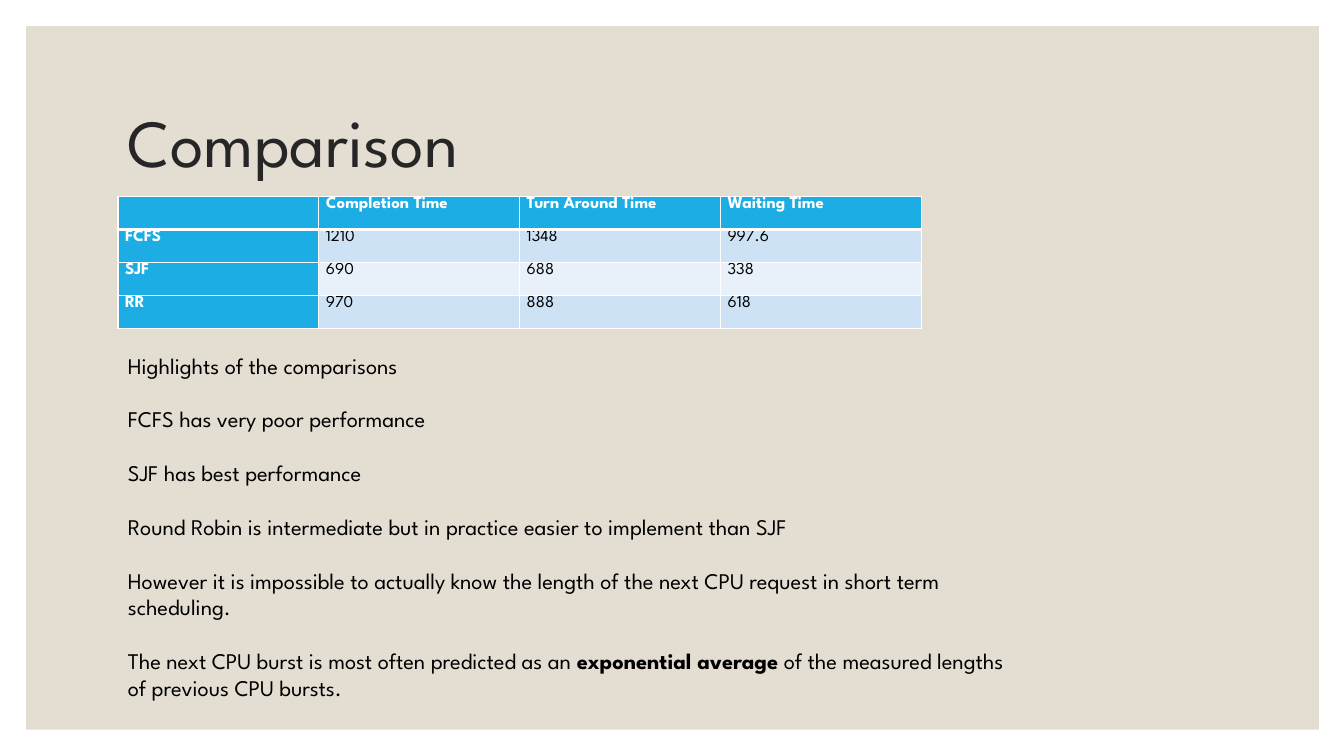
from lxml.etree import SubElement
from pptx import Presentation
from pptx.dml.color import RGBColor
from pptx.enum.shapes import MSO_SHAPE as SHAPE
from pptx.enum.text import MSO_ANCHOR as ANCHOR
from pptx.oxml.ns import qn
from pptx.util import Inches, Pt

FONT = "League Spartan"
COLORS = {
    "panel": "E3DED1", "title": "262626", "text": "000000", "white": "FFFFFF",
    "header": "1CADE4", "band_dark": "CDE3F5", "band_light": "E8F1FA",
}
ROWS = [
    ("", "Completion Time", "Turn Around Time", "Waiting Time"),
    ("FCFS", "1210", "1348", "997.6"),
    ("SJF", "690", "688", "338"),
    ("RR", "970", "888", "618"),
]
HIGHLIGHTS = [
    ["Highlights of the comparisons"],
    ["FCFS has very poor performance"],
    ["SJF has best performance"],
    ["Round Robin is intermediate but in practice easier to implement than SJF"],
    ["However it is impossible to actually know the length of the next CPU request in short term",
     "scheduling."],
    ["The next CPU burst is most often predicted as an *exponential average* of the measured lengths",
     "of previous CPU bursts."],
]


def rgb(name):
    return RGBColor.from_string(COLORS[name])


def style(r, size, color, bold=False):
    r.font.name = FONT
    r.font.size = Pt(size)
    r.font.bold = bold
    r.font.color.rgb = rgb(color)


def add_panel(s, box):
    sp = s.shapes.add_shape(SHAPE.RECTANGLE, *map(Inches, box))
    sp.shadow.inherit = False
    sp.fill.solid()
    sp.fill.fore_color.rgb = rgb("panel")
    sp.line.fill.background()


def add_text_box(s, box, anchor):
    tf = s.shapes.add_textbox(*map(Inches, box)).text_frame
    tf.word_wrap = True
    tf.vertical_anchor = anchor
    return tf


def add_title(s, box, text):
    p = add_text_box(s, box, ANCHOR.MIDDLE).paragraphs[0]
    p.text = text
    p.line_spacing = 0.9
    style(p.runs[0], 48, "title")


def add_borders(cell, row):
    widths = {"L": 1, "R": 1, "T": 3 if row == 1 else 1, "B": 3 if row == 0 else 1}
    for side, width in widths.items():
        ln = SubElement(cell._tc.get_or_add_tcPr(), qn(f"a:ln{side}"), w=str(Pt(width)))
        fill = SubElement(ln, qn("a:solidFill"))
        SubElement(fill, qn("a:srgbClr"), val=COLORS["white"])


def add_comparison(s, box, rows):
    table = s.shapes.add_table(len(rows), len(rows[0]), *map(Inches, box)).table
    for i, values in enumerate(rows):
        for j, value in enumerate(values):
            cell = table.cell(i, j)
            heading = i == 0 or j == 0
            cell.margin_left = cell.margin_right = Inches(0.07)
            cell.margin_top = cell.margin_bottom = 0
            add_borders(cell, i)
            cell.fill.solid()
            band = "band_dark" if i % 2 else "band_light"
            cell.fill.fore_color.rgb = rgb("header" if heading else band)
            cell.text = value
            for r in cell.text_frame.paragraphs[0].runs:
                style(r, 12, "white" if heading else "text", heading)


def add_highlights(s, box, groups):
    tf = add_text_box(s, box, ANCHOR.TOP)
    p = tf.paragraphs[0]
    for i, lines in enumerate(groups):
        for j, line in enumerate(lines):
            if i or j:
                p = tf.add_paragraph()
            if i and j == 0:
                p.space_before = Pt(19.2)
            for k, part in enumerate(line.split("*")):
                r = p.add_run()
                r.text = part
                style(r, 16, "text", k % 2 == 1)


prs = Presentation()
prs.slide_width, prs.slide_height = Inches(13.33), Inches(7.5)
s = prs.slides.add_slide(prs.slide_layouts[6])
add_panel(s, (0.26, 0.26, 12.82, 6.98))
add_title(s, (1.17, 0.7, 11, 1.5), "Comparison")
add_comparison(s, (1.17, 1.95, 7.97, 1.31), ROWS)
add_highlights(s, (1.17, 3.44, 10.55, 3.9), HIGHLIGHTS)
prs.save("out.pptx")
